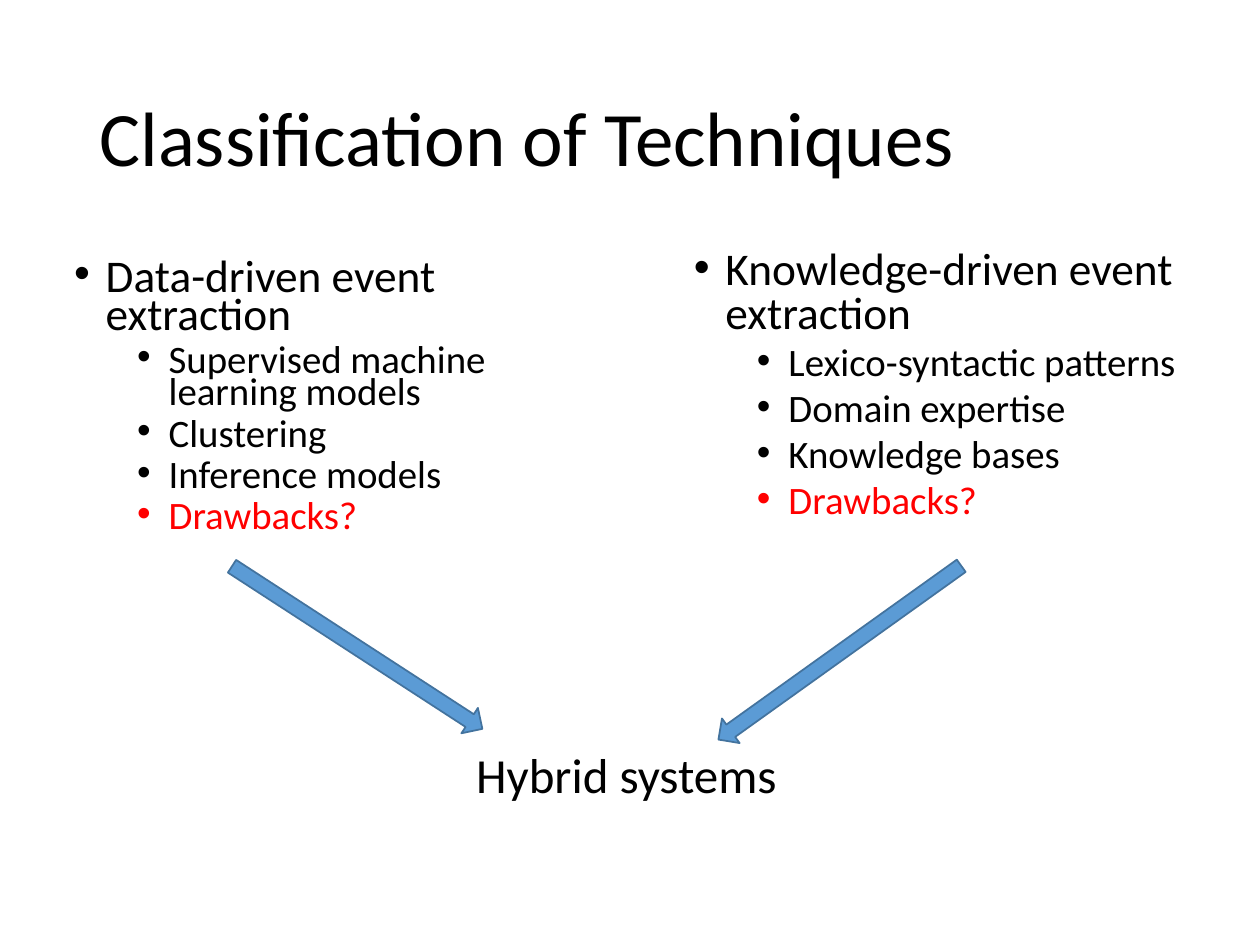
from pptx import Presentation
from pptx.dml.color import RGBColor
from pptx.enum.shapes import MSO_SHAPE as Shape
from pptx.enum.text import MSO_ANCHOR as Anchor
from pptx.oxml.xmlchemy import OxmlElement
from pptx.util import Pt

THEME = {
    "font": "Calibri",
    "text": RGBColor(0, 0, 0),
    "alert": RGBColor(255, 0, 0),
    "arrow_fill": RGBColor(0x5B, 0x9B, 0xD5),
    "arrow_line": RGBColor(0x43, 0x73, 0x9E),
    "title_size": 44,
    "bullet_sizes": (25.9, 22.2),
    "result_size": 28,
}

TITLE = ("Classification of Techniques", (49.7, 28.8, 620.6, 104.4))
RESULT = ("Hybrid systems", (265, 425.5, 250.6, 59.8))
ALERT = "Drawbacks?"
COLUMNS = [
    {
        "box": (35.3, 146.2, 308.9, 176.4),
        "spacing": 0.7,
        "heading": "Data-driven event extraction",
        "items": ["Supervised machine learning models", "Clustering", "Inference models", ALERT],
    },
    {
        "box": (389.5, 139.7, 290.2, 176.4),
        "spacing": 0.8,
        "heading": "Knowledge-driven event extraction",
        "items": ["Lexico-syntactic patterns", "Domain expertise", "Knowledge bases", ALERT],
    },
]
ARROW_SIZE = (170.6, 17.3)
ARROWS = [((118.8, 361.4), 33), ((394.6, 364.3), 144.4)]

BULLET_INDENT = 18
LEVEL_MARGINS = (18, 54)
SPACE_BEFORE = (10, 5)


def points(values):
    return [Pt(value) for value in values]


def add_text_frame(slide, box):
    text_frame = slide.shapes.add_textbox(*points(box)).text_frame
    text_frame.word_wrap = True
    return text_frame


def write(paragraph, text, size, spacing, before=0, color=THEME["text"]):
    paragraph.text = text
    paragraph.line_spacing = spacing
    paragraph.space_before = Pt(before)
    paragraph.font.name = THEME["font"]
    paragraph.font.size = Pt(size)
    paragraph.font.color.rgb = color


def add_bullet(paragraph, level):
    paragraph.level = level
    properties = paragraph._p.get_or_add_pPr()
    properties.set("marL", str(Pt(LEVEL_MARGINS[level])))
    properties.set("indent", str(-Pt(BULLET_INDENT)))
    font = OxmlElement("a:buFont")
    font.set("typeface", "Arial")
    bullet = OxmlElement("a:buChar")
    bullet.set("char", "•")
    properties.insert_element_before(font, "a:tabLst", "a:defRPr", "a:extLst")
    properties.insert_element_before(bullet, "a:tabLst", "a:defRPr", "a:extLst")


def add_column(slide, column):
    text_frame = add_text_frame(slide, column["box"])
    for index, text in enumerate([column["heading"], *column["items"]]):
        paragraph = text_frame.add_paragraph() if index else text_frame.paragraphs[0]
        level = min(index, 1)
        color = THEME["alert"] if text == ALERT else THEME["text"]
        write(paragraph, text, THEME["bullet_sizes"][level], column["spacing"],
              SPACE_BEFORE[level], color)
        add_bullet(paragraph, level)


def add_arrow(slide, position, rotation):
    arrow = slide.shapes.add_shape(Shape.RIGHT_ARROW, *points(position + ARROW_SIZE))
    arrow.rotation = rotation
    arrow.shadow.inherit = False
    arrow.fill.solid()
    arrow.fill.fore_color.rgb = THEME["arrow_fill"]
    arrow.line.color.rgb = THEME["arrow_line"]
    arrow.line.width = Pt(1)


def main():
    presentation = Presentation()
    presentation.slide_width, presentation.slide_height = Pt(720), Pt(540)
    slide = presentation.slides.add_slide(presentation.slide_layouts[6])

    text, box = TITLE
    title = add_text_frame(slide, box)
    title.vertical_anchor = Anchor.MIDDLE
    write(title.paragraphs[0], text, THEME["title_size"], 0.9)

    for column in COLUMNS:
        add_column(slide, column)
    for position, rotation in ARROWS:
        add_arrow(slide, position, rotation)

    text, box = RESULT
    result = add_text_frame(slide, box)
    write(result.paragraphs[0], text, THEME["result_size"], 0.9, SPACE_BEFORE[0])

    presentation.save("out.pptx")


if __name__ == "__main__":
    main()
